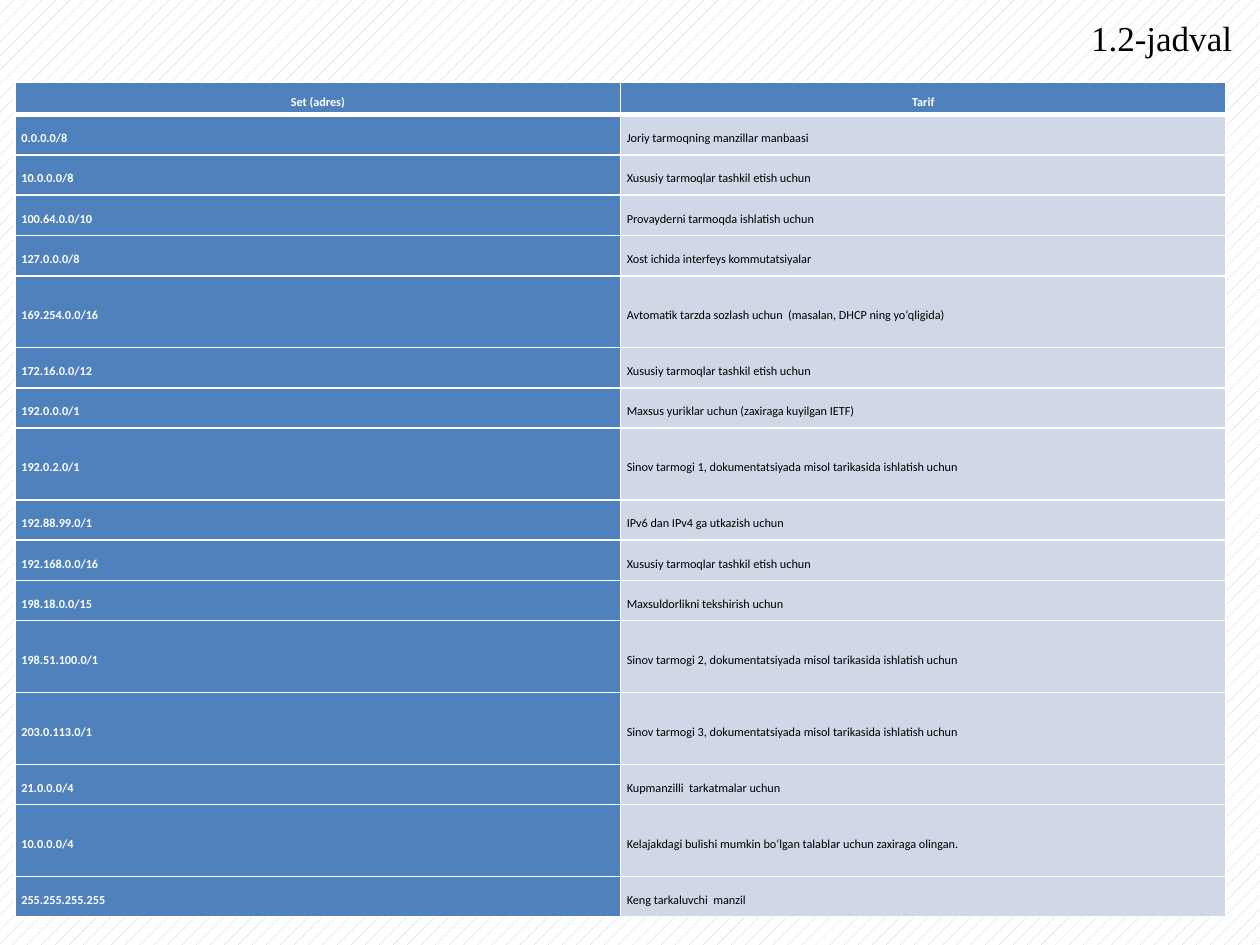
from dataclasses import dataclass

from lxml.etree import SubElement
from pptx import Presentation
from pptx.dml.color import RGBColor as RGB
from pptx.enum.dml import MSO_PATTERN
from pptx.enum.text import MSO_ANCHOR, MSO_AUTO_SIZE, PP_ALIGN
from pptx.oxml.ns import qn
from pptx.util import Inches, Pt


@dataclass(frozen=True)
class Theme:
    white: RGB = RGB.from_string("FFFFFF")
    black: RGB = RGB.from_string("000000")
    blue: RGB = RGB.from_string("4F81BD")
    pale: RGB = RGB.from_string("D0D8E8")
    hatch: RGB = RGB.from_string("B9CDE5")
    title_font: str = "Times New Roman"
    table_font: str = "Calibri"
    title_size: Pt = Pt(20)
    table_size: Pt = Pt(7)
    thin: Pt = Pt(1)
    thick: Pt = Pt(3)


THEME = Theme()
HEADER_H, ROW_H, TALL_H = 0.26, 0.32, 0.57
HEADER = ("Set (adres)", "Tarif")
NETWORKS = [
    ("0.0.0.0/8", "Joriy tarmoqning manzillar manbaasi"),
    ("10.0.0.0/8", "Xususiy tarmoqlar tashkil etish uchun"),
    ("100.64.0.0/10", "Provayderni tarmoqda ishlatish uchun"),
    ("127.0.0.0/8", "Xost ichida interfeys kommutatsiyalar"),
    ("169.254.0.0/16", "Avtomatik tarzda sozlash uchun  (masalan, DHCP ning yo‘qligida)"),
    ("172.16.0.0/12", "Xususiy tarmoqlar tashkil etish uchun"),
    ("192.0.0.0/1", "Maxsus yuriklar uchun (zaxiraga kuyilgan IETF)"),
    ("192.0.2.0/1", "Sinov tarmogi 1, dokumentatsiyada misol tarikasida ishlatish uchun"),
    ("192.88.99.0/1", "IPv6 dan IPv4 ga utkazish uchun"),
    ("192.168.0.0/16", "Xususiy tarmoqlar tashkil etish uchun"),
    ("198.18.0.0/15", "Maxsuldorlikni tekshirish uchun"),
    ("198.51.100.0/1", "Sinov tarmogi 2, dokumentatsiyada misol tarikasida ishlatish uchun"),
    ("203.0.113.0/1", "Sinov tarmogi 3, dokumentatsiyada misol tarikasida ishlatish uchun"),
    ("21.0.0.0/4", "Kupmanzilli  tarkatmalar uchun"),
    ("10.0.0.0/4", "Kelajakdagi bulishi mumkin bo‘lgan talablar uchun zaxiraga olingan."),
    ("255.255.255.255", "Keng tarkaluvchi  manzil"),
]
TALL_ROWS = {"169.254.0.0/16", "192.0.2.0/1", "198.51.100.0/1", "203.0.113.0/1", "10.0.0.0/4"}


def set_background(s):
    fill = s.background.fill
    fill.patterned()
    fill.pattern = MSO_PATTERN.PERCENT_10
    fill.fore_color.rgb = THEME.hatch
    fill.back_color.rgb = THEME.white


def set_font(p, name, size, color, bold=False):
    for r in p.runs:
        r.font.name, r.font.size, r.font.bold = name, size, bold
        r.font.color.rgb = color


def add_title(s, text):
    title = s.shapes.title
    title.left, title.top = Inches(0.35), Inches(-0.26)
    title.width, title.height = Inches(9.53), Inches(1.11)
    tf = title.text_frame
    tf.text = text
    tf.auto_size = MSO_AUTO_SIZE.NONE
    tf.vertical_anchor = MSO_ANCHOR.MIDDLE
    p = tf.paragraphs[0]
    p.alignment = PP_ALIGN.RIGHT
    set_font(p, THEME.title_font, THEME.title_size, THEME.black)


def set_borders(cell, top, bottom):
    """Draw white cell borders; call before the cell's fill is set."""
    tc_pr = cell._tc.get_or_add_tcPr()
    widths = {"L": THEME.thin, "R": THEME.thin, "T": top, "B": bottom}
    for side, width in widths.items():
        ln = SubElement(tc_pr, qn(f"a:ln{side}"), w=str(int(width)))
        fill = SubElement(ln, qn("a:solidFill"))
        SubElement(fill, qn("a:srgbClr"), val=str(THEME.white))


def fill_cell(cell, text, row, col):
    is_header = row == 0
    strong = is_header or col == 0
    set_borders(cell,
                top=THEME.thick if row == 1 else THEME.thin,
                bottom=THEME.thick if is_header else THEME.thin)
    cell.fill.solid()
    cell.fill.fore_color.rgb = THEME.blue if strong else THEME.pale
    cell.margin_left = cell.margin_right = Inches(0.01 if is_header else 0.05)
    cell.margin_top = cell.margin_bottom = Inches(0.01 if is_header else 0.03)
    cell.vertical_anchor = MSO_ANCHOR.MIDDLE
    cell.text_frame.text = text
    p = cell.text_frame.paragraphs[0]
    p.alignment = PP_ALIGN.CENTER if is_header else PP_ALIGN.JUSTIFY
    p.line_spacing = 1.5
    set_font(p, THEME.table_font, THEME.table_size,
             THEME.white if strong else THEME.black, strong)


def add_network_table(s):
    rows = [HEADER, *NETWORKS]
    heights = [HEADER_H] + [TALL_H if net in TALL_ROWS else ROW_H for net, _ in NETWORKS]
    table = s.shapes.add_table(len(rows), len(HEADER), Inches(0.12), Inches(0.65),
                               Inches(9.61), Inches(sum(heights))).table
    table.horz_banding = False
    for i, (texts, height) in enumerate(zip(rows, heights)):
        table.rows[i].height = Inches(height)
        for j, text in enumerate(texts):
            fill_cell(table.cell(i, j), text, i, j)


def main():
    prs = Presentation()
    prs.slide_width, prs.slide_height = Inches(10), Inches(7.5)
    s = prs.slides.add_slide(prs.slide_layouts[5])
    set_background(s)
    add_network_table(s)
    add_title(s, "1.2-jadval")
    prs.save("out.pptx")


if __name__ == "__main__":
    main()
